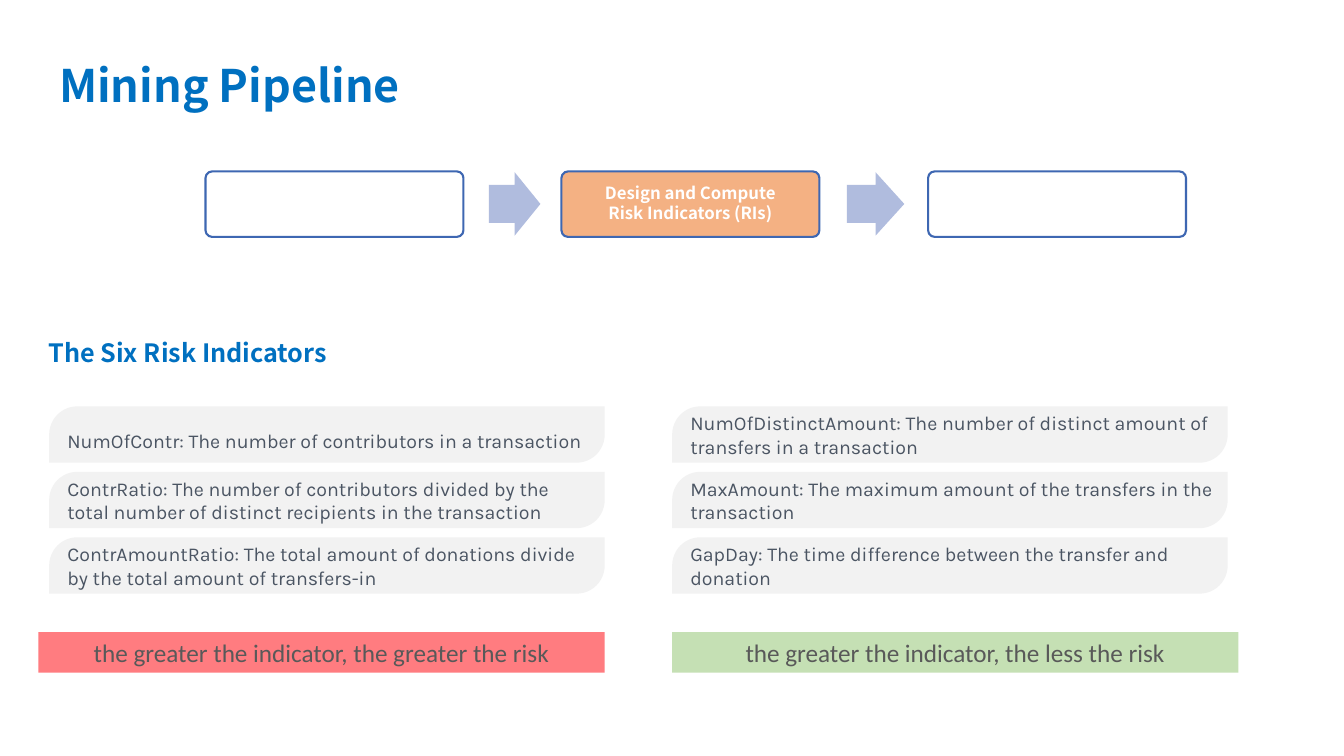
from pptx import Presentation
from pptx import util as u
from pptx.dml.color import RGBColor
from pptx.enum import shapes, text


def colour(value):
    return RGBColor.from_string(value)


def assign(target, values):
    for name, value in values.items():
        setattr(target, name, value)


class SlideBuilder:
    styles = {
        "title": {"size": u.Pt(32), "name": "Noto Sans CJK SC", "bold": True},
        "heading": {"size": u.Pt(18), "name": "Noto Sans CJK SC", "bold": True},
        "step": {"size": u.Pt(12), "name": "Noto Sans CJK SC", "bold": True},
        "indicator": {"size": u.Pt(14), "name": "Karla"},
        "verdict": {"size": u.Pt(18), "name": "Calibri"},
    }
    colours = {"title": "0070C0", "heading": "0070C0", "step": "FFFFFF",
               "indicator": "4B5563", "verdict": "595959"}
    frame_format = {"word_wrap": True, "auto_size": text.MSO_AUTO_SIZE.NONE,
                    "margin_left": u.Cm(0.25), "margin_right": u.Cm(0.25),
                    "margin_top": u.Cm(0.13), "margin_bottom": u.Cm(0.13)}

    def __init__(self, page):
        self.page = page

    def add_lines(self, box, lines, style, align=text.PP_ALIGN.LEFT,
                  anchor=text.MSO_ANCHOR.MIDDLE, spacing=1.0, after=0, **frame_values):
        frame = box.text_frame
        assign(frame, {**self.frame_format, "vertical_anchor": anchor, **frame_values})
        for index, line in enumerate(lines):
            para = frame.add_paragraph() if index else frame.paragraphs[0]
            assign(para, {"alignment": align, "line_spacing": spacing,
                          "space_before": u.Pt(0), "space_after": u.Pt(after)})
            span = para.add_run()
            span.text = line
            assign(span.font, self.styles[style])
            span.font.color.rgb = colour(self.colours[style])

    def title(self, line, left, top, width, height):
        box = self.page.shapes.title
        assign(box, {"left": u.Cm(left), "top": u.Cm(top),
                     "width": u.Cm(width), "height": u.Cm(height)})
        self.add_lines(box, [line], "title", anchor=text.MSO_ANCHOR.TOP, spacing=1.5)

    def heading(self, line, left, top, width, height):
        box = self.page.shapes.add_textbox(
            u.Cm(left), u.Cm(top), u.Cm(width), u.Cm(height))
        self.add_lines(box, [line], "heading", anchor=text.MSO_ANCHOR.TOP, spacing=1.5)

    def shape(self, kind, left, top, width, height, fill, adjustments=(), line=None):
        box = self.page.shapes.add_shape(
            kind, u.Cm(left), u.Cm(top), u.Cm(width), u.Cm(height))
        box.shadow.inherit = False
        box.fill.solid()
        box.fill.fore_color.rgb = colour(fill)
        for index, value in enumerate(adjustments):
            box.adjustments[index] = value
        if line:
            box.line.color.rgb = colour(line)
            box.line.width = u.Pt(1.5)
        else:
            box.line.fill.background()
        return box

    def step(self, left, fill, lines):
        box = self.shape(shapes.MSO_SHAPE.ROUNDED_RECTANGLE, left, 4.32, 6.5, 1.65,
                         fill, [0.1], "3E67B2")
        if lines:
            self.add_lines(box, lines, "step", text.PP_ALIGN.CENTER,
                           spacing=0.9, after=1.5)

    def arrow(self, left, width):
        self.shape(shapes.MSO_SHAPE.RIGHT_ARROW, left, 4.34, width, 1.6,
                   "B0BCDE", [0.6, 0.5])

    def indicator(self, line, left, top, spacing):
        box = self.shape(shapes.MSO_SHAPE.ROUND_2_DIAG_RECTANGLE, left, top, 14, 1.42,
                         "F2F2F2", [0.5, 0])
        self.add_lines(box, [line], "indicator", spacing=spacing, margin_right=u.Cm(0.1))

    def verdict(self, line, left, fill):
        box = self.shape(shapes.MSO_SHAPE.RECTANGLE, left, 15.93, 14.27, 1.02, fill)
        self.add_lines(box, [line], "verdict", text.PP_ALIGN.CENTER, text.MSO_ANCHOR.TOP)


STEPS = [
    (5.18, "FFFFFF", []),
    (14.15, "F4B183", ["Design and Compute", "Risk Indicators (RIs)"]),
    (23.39, "FFFFFF", []),
]
ARROWS = [(12.32, 1.3), (21.34, 1.45)]
INDICATORS = {
    1.24: [
        ("NumOfContr: The number of contributors in a transaction", 1.5),
        ("ContrRatio: The number of contributors divided by the total number "
         "of distinct recipients in the transaction", 1.0),
        ("ContrAmountRatio: The total amount of donations divide by the total "
         "amount of transfers-in", 1.0),
    ],
    16.94: [
        ("NumOfDistinctAmount: The number of distinct amount of transfers "
         "in a transaction", 1.0),
        ("MaxAmount: The maximum amount of the transfers in the transaction", 1.0),
        ("GapDay: The time difference between the transfer and donation", 1.0),
    ],
}
VERDICTS = [
    ("the greater the indicator, the greater the risk", 0.97, "FF7C80"),
    ("the greater the indicator, the less the risk", 16.94, "C5E0B4"),
]


def main():
    deck = Presentation()
    assign(deck, {"slide_width": u.Cm(33.87), "slide_height": u.Cm(19.05)})
    builder = SlideBuilder(deck.slides.add_slide(deck.slide_layouts[5]))
    builder.title("Mining Pipeline", 1.24, 0.64, 28.24, 2.11)
    for step in STEPS:
        builder.step(*step)
    for arrow in ARROWS:
        builder.arrow(*arrow)
    builder.heading("The Six Risk Indicators", 0.97, 8, 10.26, 1.3)
    for left, rows in INDICATORS.items():
        for index, (line, spacing) in enumerate(rows):
            builder.indicator(line, left, 10.24 + 1.65 * index, spacing)
    for verdict in VERDICTS:
        builder.verdict(*verdict)
    deck.save("out.pptx")


if __name__ == "__main__":
    main()
